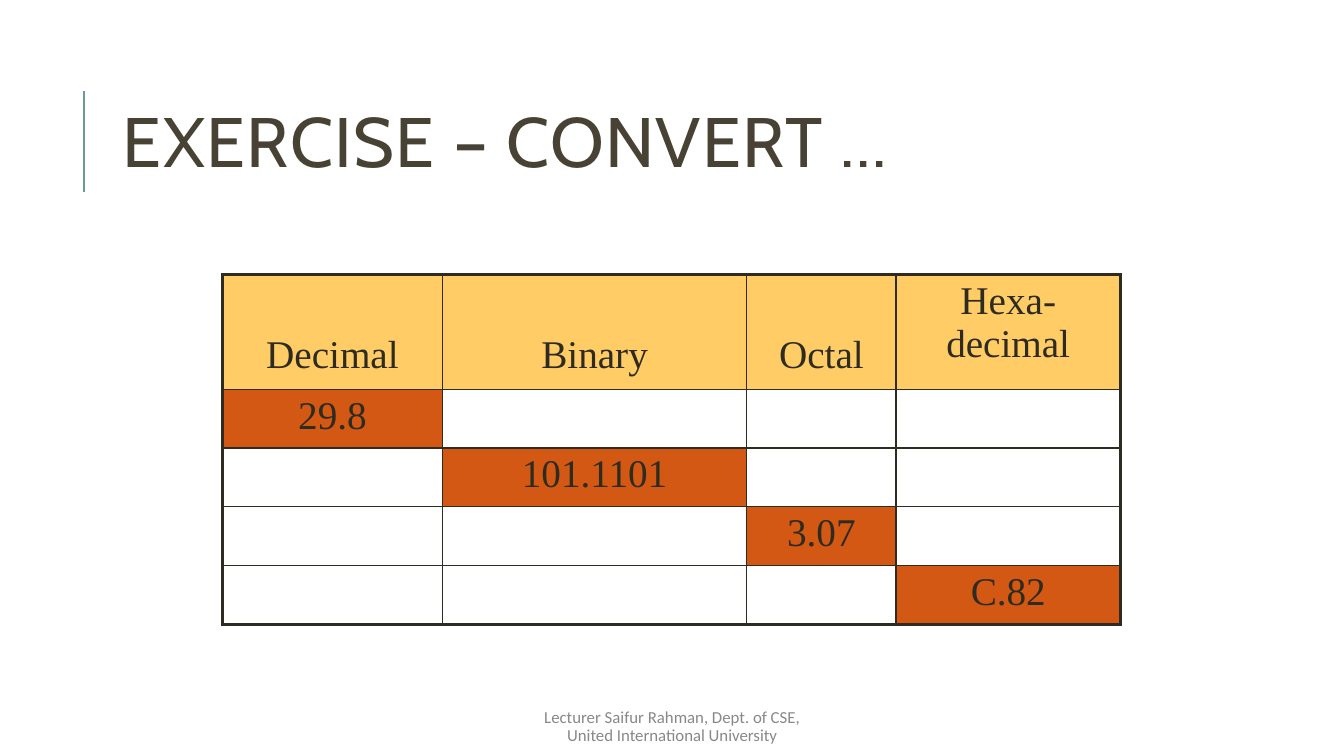
"""Build the number conversion exercise slide."""
import pptx
import pptx.dml.color
import pptx.enum.shapes
import pptx.enum.text
import pptx.oxml
import pptx.oxml.ns
import pptx.util

Pt = pptx.util.Pt
ALIGN = pptx.enum.text.PP_ALIGN
ANCHOR = pptx.enum.text.MSO_ANCHOR
INK, HEADER, GIVEN = "2E2B21", "FFCC66", "D25814"
HEADINGS = ["Decimal", "Binary", "Octal", "Hexa-\vdecimal"]
VALUES = ["29.8", "101.1101", "3.07", "C.82"]
WIDTHS = [157, 217.5, 106.5, 160.5]
HEADER_HEIGHT, ROW_HEIGHT = 82, 42


def rgb(value):
    return pptx.dml.color.RGBColor.from_string(value)


def format_paragraph(p, font, size, color, align):
    p.alignment = align
    p.font.name = font
    p.font.size = Pt(size)
    p.font.color.rgb = rgb(color)


def add_title(slide, text):
    sp = slide.shapes.title
    sp.left, sp.top, sp.width, sp.height = Pt(80.6), Pt(46), Pt(765.4), Pt(118)
    tf = sp.text_frame
    tf.text = text
    tf.auto_size = pptx.enum.text.MSO_AUTO_SIZE.NONE
    tf.vertical_anchor = ANCHOR.MIDDLE
    p = tf.paragraphs[0]
    p.line_spacing = 0.8
    format_paragraph(p, "Cabin", 50, "474233", ALIGN.LEFT)
    p.runs[0]._r.get_or_add_rPr().set("spc", "100")


def add_rule(slide, x, top, bottom):
    line = slide.shapes.add_connector(
        pptx.enum.shapes.MSO_CONNECTOR.STRAIGHT, Pt(x), Pt(bottom), Pt(x), Pt(top))
    line.line.color.rgb = rgb("689C9A")
    line.line.width = Pt(1.5)
    line._element.spPr.append(
        pptx.oxml.parse_xml(f"<a:effectLst {pptx.oxml.ns.nsdecls('a')}/>"))


def set_borders(cell, widths):
    tcPr = cell._tc.get_or_add_tcPr()
    for side, width in widths.items():
        tcPr.append(pptx.oxml.parse_xml(
            f'<a:ln{side} {pptx.oxml.ns.nsdecls("a")} w="{Pt(width)}">'
            f'<a:solidFill><a:srgbClr val="{INK}"/></a:solidFill></a:ln{side}>'))


def fill_cell(cell, text, color):
    cell.fill.solid()
    cell.fill.fore_color.rgb = rgb(color)
    cell.text = text
    format_paragraph(cell.text_frame.paragraphs[0], "Times New Roman", 28, INK, ALIGN.CENTER)


def add_conversion_table(slide, left, top):
    count = len(HEADINGS)
    height = HEADER_HEIGHT + count * ROW_HEIGHT
    table = slide.shapes.add_table(
        count + 1, count, Pt(left), Pt(top), Pt(sum(WIDTHS)), Pt(height)).table
    table.first_row = table.horz_banding = False
    for column, width in zip(table.columns, WIDTHS):
        column.width = Pt(width)
    for i, row in enumerate(table.rows):
        row.height = Pt(ROW_HEIGHT if i else HEADER_HEIGHT)
        for j, cell in enumerate(row.cells):
            outer = {"L": j == 0, "R": j == count - 1, "T": i == 0, "B": i == count}
            set_borders(cell, {side: 2.25 if edge else 1 for side, edge in outer.items()})
            if i == 0:
                fill_cell(cell, HEADINGS[j], HEADER)
                if "\v" not in HEADINGS[j]:
                    cell.vertical_anchor = ANCHOR.BOTTOM
                    cell.margin_bottom = Pt(8.6)
            elif j == i - 1:
                fill_cell(cell, VALUES[j], GIVEN)
            else:
                cell.fill.background()


def add_footer(slide, text):
    tf = slide.shapes.add_textbox(Pt(374.4), Pt(507), Pt(211.6), Pt(24.8)).text_frame
    tf.word_wrap = True
    tf.auto_size = pptx.enum.text.MSO_AUTO_SIZE.SHAPE_TO_FIT_TEXT
    tf.margin_left = tf.margin_top = tf.margin_right = tf.margin_bottom = 0
    tf.text = text
    p = tf.paragraphs[0]
    p.line_spacing = Pt(12.4)
    format_paragraph(p, "Calibri", 12, "888888", ALIGN.CENTER)


def main():
    prs = pptx.Presentation()
    prs.slide_width, prs.slide_height = Pt(960), Pt(540)
    slide = prs.slides.add_slide(prs.slide_layouts[5])
    add_rule(slide, 60, 65, 137)
    add_title(slide, "EXERCISE – CONVERT ...")
    add_conversion_table(slide, 159, 196)
    add_footer(slide, "Lecturer Saifur Rahman, Dept. of CSE, United International University")
    prs.save("out.pptx")


if __name__ == "__main__":
    main()
